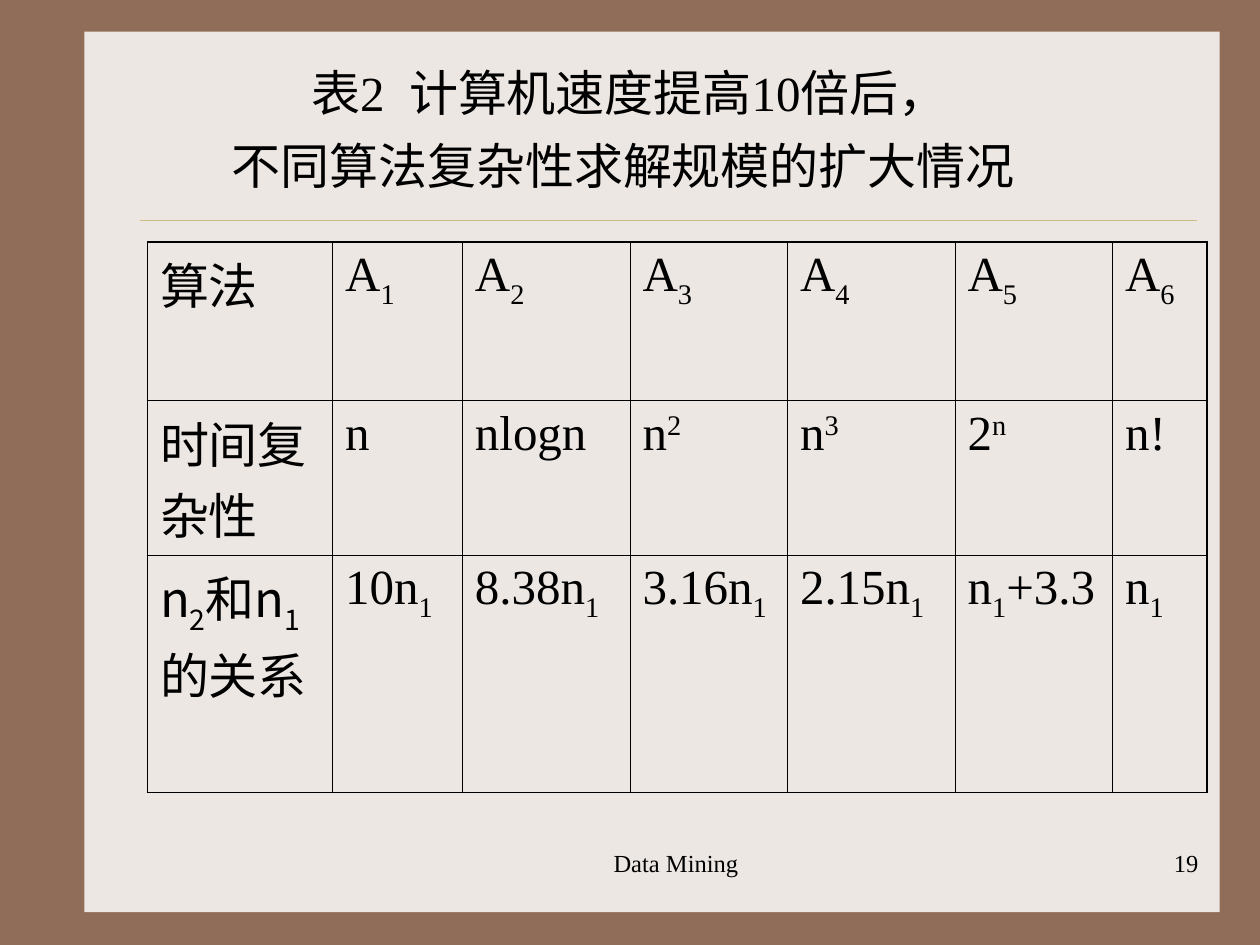
from typing import NamedTuple

from lxml.etree import SubElement
from pptx import Presentation
from pptx.dml.color import RGBColor
from pptx.enum.shapes import MSO_CONNECTOR, MSO_SHAPE
from pptx.enum.text import MSO_ANCHOR, MSO_AUTO_SIZE, PP_ALIGN
from pptx.oxml.ns import qn
from pptx.util import Inches, Pt

SERIF = "Times New Roman"
CHINESE = "Noto Sans CJK SC"
INK = "000000"
THIN, THICK = 0.45, 1.08
BASELINES = {"_": "-25000", "^": "30000"}


class FooterText(NamedTuple):
    text: str
    left: float
    width: float
    align: PP_ALIGN


FOOTERS = [
    FooterText("Data Mining", 3.78, 3.17, PP_ALIGN.CENTER),
    FooterText("19", 7.53, 2.08, PP_ALIGN.RIGHT),
]

# In cells "|" separates runs; a leading "_" lowers a run and "^" raises it
ROWS = [
    ["算法"] + [f"A|_{number}" for number in range(1, 7)],
    ["时间复杂性", "n", "nlogn", "n|^2", "n|^3", "2|^n", "n!"],
    ["n|_2|和n|_1|的关系", "10n|_1", "8.38n|_1", "3.16n|_1", "2.15n|_1",
     "n|_1|+3.3", "n|_1"],
]
COLUMN_WIDTHS = [1.47, 1.03, 1.33, 1.25, 1.33, 1.25, 0.75]
ROW_HEIGHTS = [1.26, 1.04, 1.63]


def color(value: str) -> RGBColor:
    return RGBColor.from_string(value)


def add_text(paragraph, text: str, *, size: float = 28, font: str = SERIF,
             fill: str = INK, baseline: str = "") -> None:
    run = paragraph.add_run()
    run.text = text
    run.font.size = Pt(size)
    run.font.name = font
    run.font.color.rgb = color(fill)
    properties = run.font._element
    SubElement(properties, qn("a:ea"), typeface=CHINESE)
    if baseline:
        properties.set("baseline", baseline)


def add_panel(slide):
    panel = slide.shapes.add_shape(
        MSO_SHAPE.RECTANGLE, Inches(0.67), Inches(0.25), Inches(9.01), Inches(6.99))
    panel.shadow.inherit = False
    panel.fill.solid()
    panel.fill.fore_color.rgb = color("EDE7E3")
    panel.line.fill.background()
    return panel


def add_rule(slide):
    rule = slide.shapes.add_connector(
        MSO_CONNECTOR.STRAIGHT, Inches(1.11), Inches(1.75), Inches(9.5), Inches(1.75))
    rule.line.color.rgb = color("CBBD83")
    rule.line.width = Pt(0.25)
    SubElement(rule.element.spPr, qn("a:effectLst"))
    return rule


def fill_title(title) -> None:
    title.left, title.top = Inches(0.33), Inches(0.5)
    title.width, title.height = Inches(9.33), Inches(1.25)
    frame = title.text_frame
    frame.word_wrap = True
    frame.auto_size = MSO_AUTO_SIZE.NONE
    frame.vertical_anchor = MSO_ANCHOR.TOP
    first, second = frame.paragraphs[0], frame.add_paragraph()
    for paragraph in (first, second):
        paragraph.alignment = PP_ALIGN.CENTER
        paragraph.line_spacing = 0.9
    second.space_before = Pt(8)
    for text, font in [("表", CHINESE), ("2  ", SERIF), ("计算机速度提高", CHINESE),
                       ("10", SERIF), ("倍后，", CHINESE)]:
        add_text(first, text, font=font)
    add_text(second, "不同算法复杂性求解规模的扩大情况", font=CHINESE)
    add_text(second, " ", size=32)


def add_footer(slide, footer: FooterText) -> None:
    box = slide.shapes.add_textbox(
        Inches(footer.left), Inches(6.68), Inches(footer.width), Inches(0.5))
    box.text_frame.word_wrap = True
    paragraph = box.text_frame.paragraphs[0]
    paragraph.alignment = footer.align
    add_text(paragraph, footer.text, size=14)


def set_borders(cell, outer_sides: dict[str, bool]) -> None:
    properties = cell._tc.get_or_add_tcPr()
    for side, is_outer in outer_sides.items():
        width = Pt(THICK if is_outer else THIN)
        line = SubElement(properties, qn(f"a:ln{side}"), w=str(int(width)))
        SubElement(SubElement(line, qn("a:solidFill")), qn("a:srgbClr"), val=INK)


def add_complexity_table(slide) -> None:
    frame = slide.shapes.add_table(
        len(ROWS), len(COLUMN_WIDTHS), Inches(1.17), Inches(1.92),
        Inches(sum(COLUMN_WIDTHS)), Inches(sum(ROW_HEIGHTS)))
    table = frame.table
    table.first_row = table.horz_banding = False
    for column, width in zip(table.columns, COLUMN_WIDTHS):
        column.width = Inches(width)
    for row, height in zip(table.rows, ROW_HEIGHTS):
        row.height = Inches(height)

    last_row, last_column = len(ROWS) - 1, len(COLUMN_WIDTHS) - 1
    for row_index, texts in enumerate(ROWS):
        for column_index, text in enumerate(texts):
            cell = table.cell(row_index, column_index)
            set_borders(cell, {
                "L": column_index == 0, "R": column_index == last_column,
                "T": row_index == 0, "B": row_index == last_row})
            cell.fill.background()
            font = CHINESE if (row_index, column_index) == (last_row, 0) else SERIF
            for piece in text.split("|"):
                add_text(cell.text_frame.paragraphs[0], piece.lstrip("_^"),
                         font=font, baseline=BASELINES.get(piece[0], ""))


def main() -> None:
    presentation = Presentation()
    presentation.slide_width, presentation.slide_height = Inches(10), Inches(7.5)
    slide = presentation.slides.add_slide(presentation.slide_layouts[5])

    # Background, panel and rule sit behind the title
    slide.background.fill.solid()
    slide.background.fill.fore_color.rgb = color("906D58")
    title = slide.shapes.title
    for backdrop in (add_panel(slide), add_rule(slide)):
        title.element.addprevious(backdrop.element)

    # Content
    fill_title(title)
    add_complexity_table(slide)
    for footer in FOOTERS:
        add_footer(slide, footer)

    presentation.save("out.pptx")


if __name__ == "__main__":
    main()
